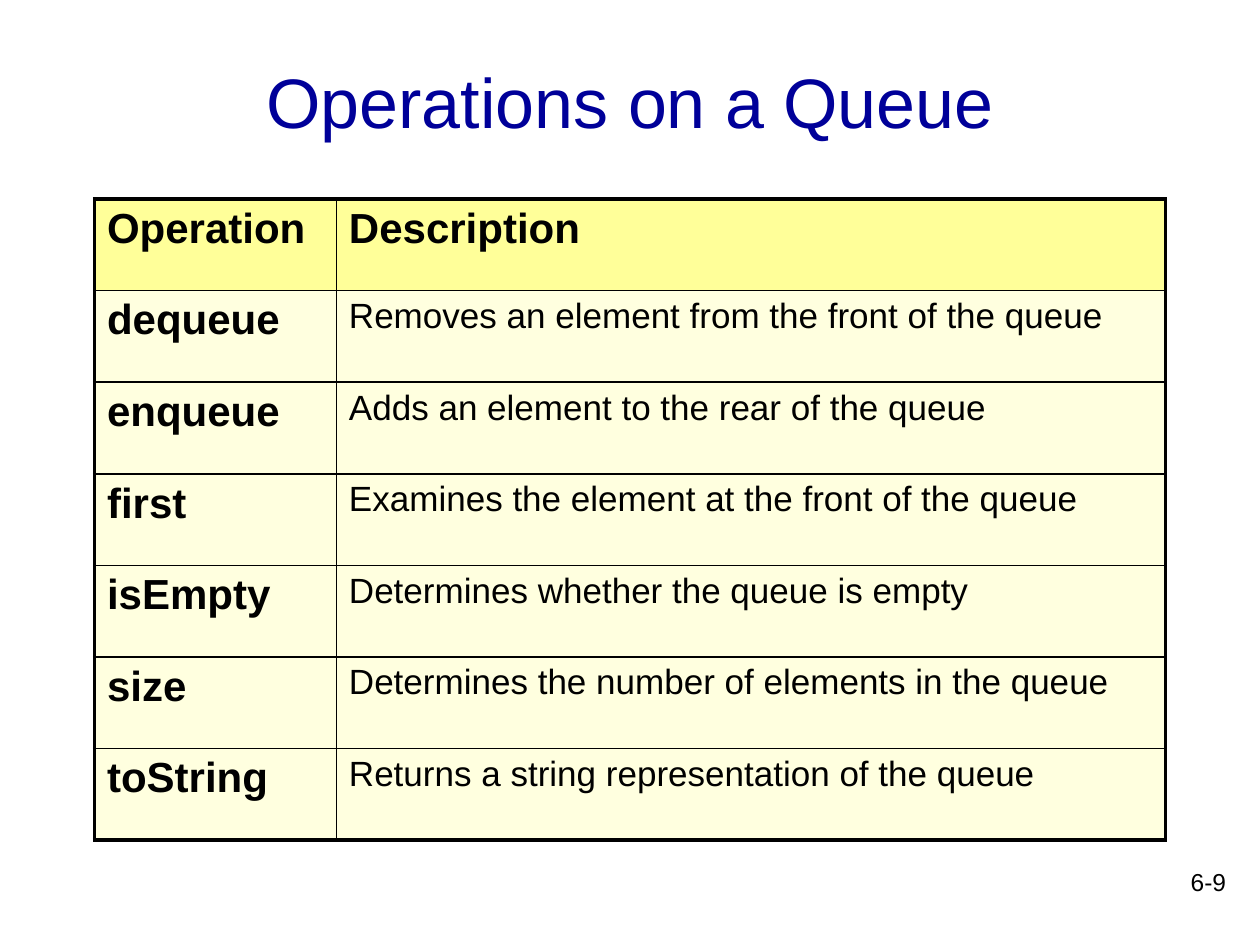
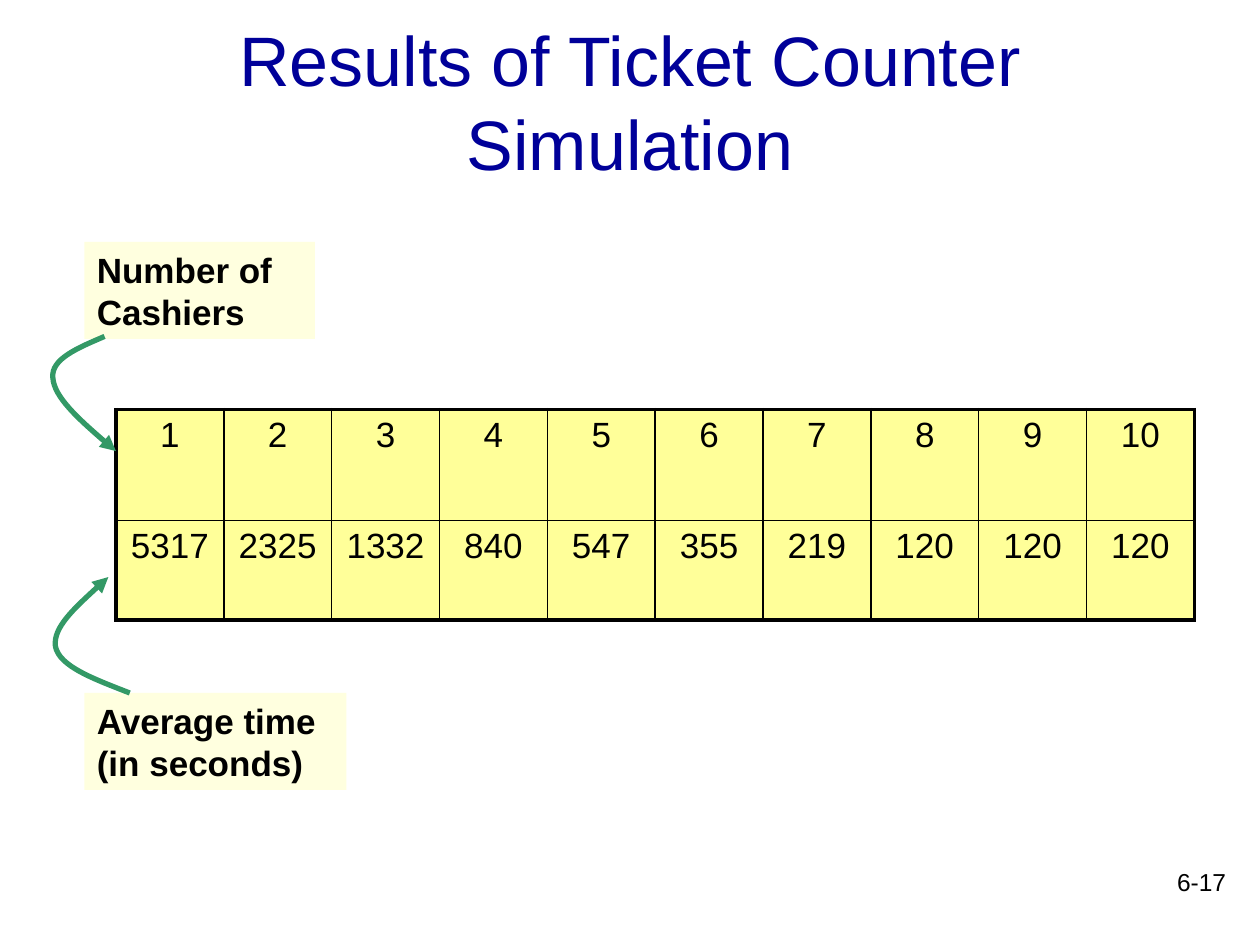
from lxml import etree
from pptx import Presentation
from pptx.dml.color import RGBColor
from pptx.enum import shapes, text
from pptx.oxml import ns
from pptx.util import Inches, Pt

FONT = "Arial"
BLACK, NAVY, GREEN = "000000", "000099", "339966"
YELLOW, CREAM = "FFFF99", "FFFFDF"
THICK, THIN = Pt(2.25), Pt(1)


def style(par, size, color=BLACK, bold=False, align=text.PP_ALIGN.LEFT):
    font = par.font
    font.name, font.size, font.bold = FONT, Pt(size), bold
    font.color.rgb = RGBColor.from_string(color)
    par.alignment = align


def grid(slide, left, top, widths, heights, rows):
    """Add a table with a thick frame and thin inner lines."""
    frame = slide.shapes.add_table(
        len(rows), len(widths), Inches(left), Inches(top),
        Inches(sum(widths)), Inches(sum(heights)))
    table = frame.table
    for col, width in zip(table.columns, widths):
        col.width = Inches(width)
    for row, height in zip(table.rows, heights):
        row.height = Inches(height)
    for r, row in enumerate(rows):
        for c, (words, size, bold, align, fill) in enumerate(row):
            cell = table.cell(r, c)
            cell.text = words
            style(cell.text_frame.paragraphs[0], size, bold=bold, align=align)
            outer = {"L": c == 0, "R": c == len(row) - 1,
                     "T": r == 0, "B": r == len(rows) - 1}
            props = cell._tc.get_or_add_tcPr()
            for side, edge in outer.items():
                line = etree.SubElement(props, ns.qn("a:ln" + side),
                                        w=str(THICK if edge else THIN))
                solid = etree.SubElement(line, ns.qn("a:solidFill"))
                etree.SubElement(solid, ns.qn("a:srgbClr"), val=BLACK)
            cell.fill.solid()
            cell.fill.fore_color.rgb = RGBColor.from_string(fill)


prs = Presentation()
prs.slide_width, prs.slide_height = Inches(10), Inches(7.5)

# Titles and page numbers
slides = []
for heading, number in [("Operations on a Queue", "6-9"),
                        ("Results of Ticket Counter Simulation", "6-17")]:
    slide = prs.slides.add_slide(prs.slide_layouts[5])
    slides.append(slide)
    title = slide.shapes.title
    title.left, title.top = Inches(0.75), Inches(0.17)
    title.width, title.height = Inches(8.5), Inches(1.25)
    title.text = heading
    title.text_frame.auto_size = text.MSO_AUTO_SIZE.NONE
    title.text_frame.vertical_anchor = text.MSO_ANCHOR.MIDDLE
    style(title.text_frame.paragraphs[0], 40, NAVY, align=text.PP_ALIGN.CENTER)

    page = slide.shapes.add_textbox(
        Inches(7.75), Inches(6.83), Inches(2.08), Inches(0.5))
    page.text_frame.word_wrap = True
    page.text_frame.text = number
    style(page.text_frame.paragraphs[0], 14, align=text.PP_ALIGN.RIGHT)

queue, results = slides

# Queue operations
LEFT, MID = text.PP_ALIGN.LEFT, text.PP_ALIGN.CENTER
methods = [
    ("dequeue", "Removes an element from the front of the queue"),
    ("enqueue", "Adds an element to the rear of the queue"),
    ("first", "Examines the element at the front of the queue"),
    ("isEmpty", "Determines whether the queue is empty"),
    ("size", "Determines the number of elements in the queue"),
    ("toString", "Returns a string representation of the queue"),
]
rows = [[(head, 24, True, LEFT, YELLOW)
         for head in ("Operation", "Description")]]
rows += [[(name, 24, True, LEFT, CREAM), (job, 20, False, LEFT, CREAM)]
         for name, job in methods]
grid(queue, 0.75, 1.58, [1.92, 6.58], [5.09 / 7] * 7, rows)

# Simulation results
times = [5317, 2325, 1332, 840, 547, 355, 219, 120, 120, 120]
rows = [[(str(value), 20, False, MID, YELLOW) for value in line]
        for line in (range(1, 11), times)]
grid(results, 0.92, 3.25, [8.56 / 10] * 10, [0.88, 0.79], rows)

for label, top, width in [("Number of Cashiers", 1.92, 1.83),
                          ("Average time (in seconds)", 5.5, 2.08)]:
    box = results.shapes.add_shape(
        shapes.MSO_SHAPE.RECTANGLE,
        Inches(0.67), Inches(top), Inches(width), Inches(0.77))
    box.shadow.inherit = False
    box.fill.solid()
    box.fill.fore_color.rgb = RGBColor.from_string(CREAM)
    box.line.fill.background()
    box.text_frame.word_wrap = True
    box.text_frame.vertical_anchor = text.MSO_ANCHOR.TOP
    box.text_frame.text = label
    style(box.text_frame.paragraphs[0], 20, bold=True)

# Curved arrows: a start point, then two Bezier pieces of three points each
arrows = [
    [(0.83, 2.67), (0.62, 2.76), (0.4, 2.85), (0.42, 3),
     (0.43, 3.15), (0.67, 3.37), (0.92, 3.58)],
    [(1.03, 5.5), (0.75, 5.39), (0.47, 5.29), (0.44, 5.13),
     (0.42, 4.98), (0.64, 4.78), (0.86, 4.58)],
]
for arc in arrows:
    start, *points = [(Inches(x), Inches(y)) for x, y in arc]
    build = results.shapes.build_freeform(*start)
    build.add_line_segments(points, close=False)
    arrow = build.convert_to_shape()
    arrow.shadow.inherit = False
    arrow.fill.background()
    arrow.line.color.rgb = RGBColor.from_string(GREEN)
    arrow.line.width = Pt(3)
    etree.SubElement(arrow.line._get_or_add_ln(), ns.qn("a:tailEnd"),
                     type="triangle")
    steps = list(arrow._element.iter(ns.qn("a:lnTo")))
    for i in range(0, len(steps), 3):
        curve = etree.SubElement(steps[i].getparent(), ns.qn("a:cubicBezTo"))
        for step in steps[i:i + 3]:
            curve.append(step[0])
            step.getparent().remove(step)

prs.save("out.pptx")
